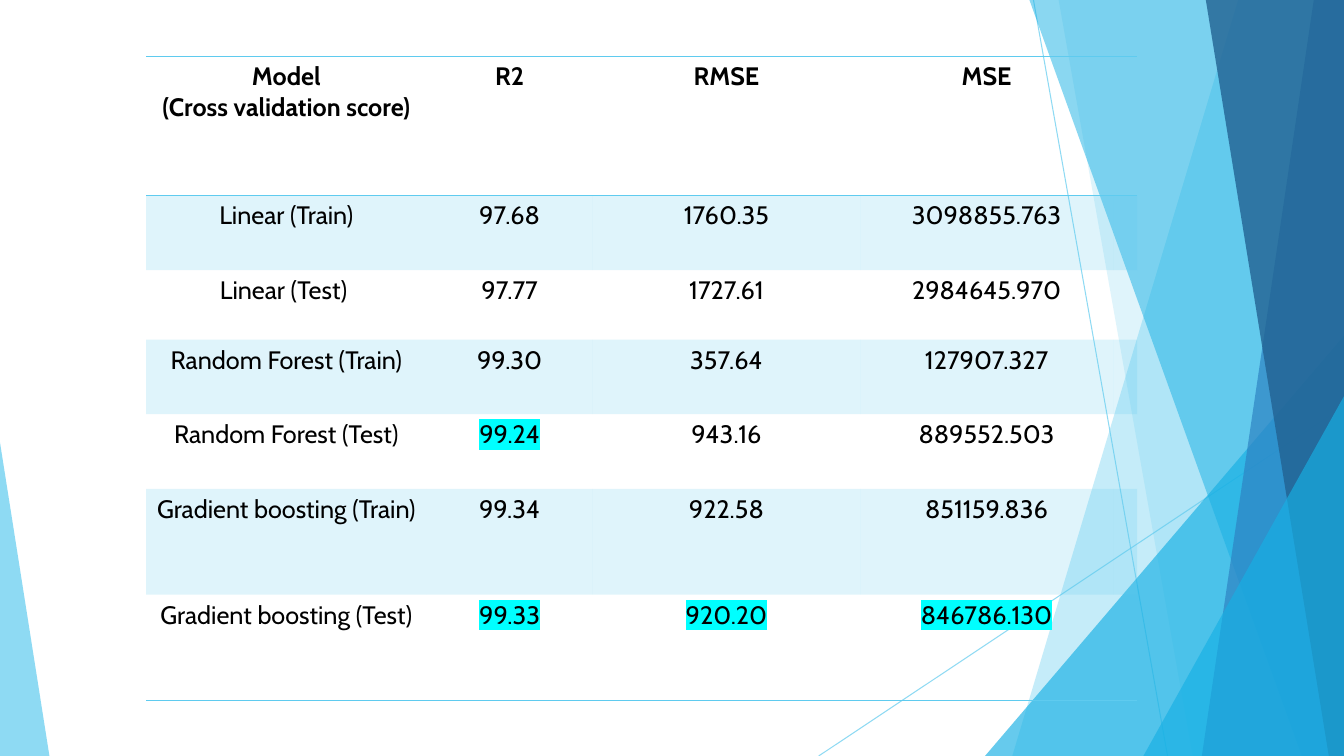
"""Build the slide comparing cross validation scores of regression models."""
from dataclasses import dataclass

from pptx import Presentation
from pptx.dml.color import RGBColor
from pptx.enum.shapes import MSO_CONNECTOR, MSO_SHAPE
from pptx.enum.text import PP_ALIGN
from pptx.oxml.ns import qn
from pptx.oxml.xmlchemy import BaseOxmlElement
from pptx.slide import Slide
from pptx.table import _Cell
from pptx.util import Inches, Pt
from lxml.etree import SubElement

SKY = RGBColor(0x5F, 0xCB, 0xEF)
AZURE = RGBColor(0x17, 0xB0, 0xE4)
BLUE = RGBColor(0x2E, 0x83, 0xC3)
NAVY = RGBColor(0x22, 0x62, 0x92)
BLACK = RGBColor(0, 0, 0)
CYAN = RGBColor(0, 0xFF, 0xFF)
WIDTH, HEIGHT = 13.33, 7.5
NO_STYLE = "{2D5ABB26-0587-4C30-8999-92F81FD0307C}"
FONT = {"name": "Cabin", "size": Pt(18)}


@dataclass(frozen=True)
class Ray:
    """A thin line between two points."""
    x1: float
    y1: float
    x2: float
    y2: float


@dataclass(frozen=True)
class Band:
    """A full-height panel along the right edge with a slanted left side."""
    top_x: float
    bottom_x: float
    color: RGBColor
    alpha: int


@dataclass(frozen=True)
class Wedge:
    """A right triangle standing on the bottom edge."""
    left: float
    top: float
    width: float
    apex: float
    color: RGBColor
    alpha: int


@dataclass(frozen=True)
class Row:
    """A table row with the columns whose value is highlighted."""
    height: float
    texts: tuple[str, ...]
    marked: tuple[int, ...] = ()


DECORATION = [
    Ray(10.25, 0, 11.58, HEIGHT),
    Ray(WIDTH, 4.03, 8.12, HEIGHT),
    Band(12.28, 10.04, SKY, 36),
    Band(10.5, 11.83, SKY, 20),
    Wedge(9.77, 3.33, 3.56, 1, AZURE, 66),
    Band(10.21, 12.91, AZURE, 50),
    Band(13.03, 11.92, BLUE, 70),
    Band(11.96, 13.18, NAVY, 80),
    Wedge(11.34, 3.93, 1.99, 1, AZURE, 66),
    Wedge(0, 4.39, 0.49, 0, SKY, 70),
]
COLUMNS = [2.78, 1.65, 2.65, 2.51, 0.23]
ROWS = [
    Row(1.38, ("Model\n(Cross validation score)", "R2", "RMSE", "MSE")),
    Row(0.74, ("Linear (Train)", "97.68", "1760.35", "3098855.763")),
    Row(0.69, ("Linear (Test) ", "97.77", "1727.61", "2984645.970")),
    Row(0.74, ("Random Forest (Train)", "99.30", "357.64", "127907.327")),
    Row(0.74, ("Random Forest (Test)", "99.24", "943.16", "889552.503"), (1,)),
    Row(1.05, ("Gradient boosting (Train)", "99.34", "922.58", "851159.836")),
    Row(1.05, ("Gradient boosting (Test)", "99.33", "920.20", "846786.130"), (1, 2, 3)),
]


def set_alpha(element: BaseOxmlElement, percent: int) -> None:
    """Make every colour in the element partly transparent."""
    for color in element.iter(qn("a:srgbClr")):
        SubElement(color, qn("a:alpha"), val=str(percent * 1000))


def draw_ray(s: Slide, ray: Ray) -> None:
    """Draw a thin decorative line."""
    ends = [Inches(v) for v in (ray.x1, ray.y1, ray.x2, ray.y2)]
    line = s.shapes.add_connector(MSO_CONNECTOR.STRAIGHT, *ends)
    line.line.color.rgb = SKY
    line.line.width = Pt(0.75)
    set_alpha(line._element, 70)
    SubElement(line._element.spPr, qn("a:effectLst"))


def draw_panel(s: Slide, panel: Band | Wedge) -> None:
    """Draw a translucent band or wedge."""
    if isinstance(panel, Band):
        points = [(WIDTH, 0), (WIDTH, HEIGHT), (panel.bottom_x, HEIGHT)]
        fb = s.shapes.build_freeform(Inches(panel.top_x), 0)
        fb.add_line_segments([(Inches(x), Inches(y)) for x, y in points])
        sp = fb.convert_to_shape()
    else:
        box = (panel.left, panel.top, panel.width, HEIGHT - panel.top)
        sp = s.shapes.add_shape(MSO_SHAPE.ISOSCELES_TRIANGLE, *map(Inches, box))
        sp.adjustments[0] = panel.apex
    sp.shadow.inherit = False
    sp.fill.solid()
    sp.fill.fore_color.rgb = panel.color
    sp.line.fill.background()
    set_alpha(sp._element, panel.alpha)


def add_border(cell: _Cell, side: str) -> None:
    """Rule one side of a cell."""
    ln = SubElement(cell._tc.get_or_add_tcPr(), qn(f"a:ln{side}"), w=str(Pt(1)))
    fill = SubElement(ln, qn("a:solidFill"))
    SubElement(fill, qn("a:srgbClr"), val=str(SKY))


def write_cell(cell: _Cell, text: str, bold: bool, marked: bool) -> None:
    """Write centred text, one paragraph a line."""
    tf = cell.text_frame
    tf.text = text
    for p in tf.paragraphs:
        p.alignment = PP_ALIGN.CENTER
        for r in p.runs:
            for name, value in {**FONT, "bold": bold}.items():
                setattr(r.font, name, value)
            r.font.color.rgb = BLACK
            if marked:
                rPr = r.font._element
                highlight = SubElement(rPr, qn("a:highlight"))
                SubElement(highlight, qn("a:srgbClr"), val=str(CYAN))
                rPr.find(qn("a:solidFill")).addnext(highlight)


def draw_table(s: Slide) -> None:
    """Draw the score table with alternate rows shaded."""
    box = (1.45, 0.56, sum(COLUMNS), sum(row.height for row in ROWS))
    frame = s.shapes.add_table(len(ROWS), len(COLUMNS), *map(Inches, box))
    table = frame.table
    table._tbl.tblPr.find(qn("a:tableStyleId")).text = NO_STYLE
    table.horz_banding = False
    for column, width in zip(table.columns, COLUMNS):
        column.width = Inches(width)
    for i, row in enumerate(ROWS):
        table.rows[i].height = Inches(row.height)
        sides = {0: "TB", len(ROWS) - 1: "B"}.get(i, "")
        for j, cell in enumerate(table.rows[i].cells):
            for side in sides:
                add_border(cell, side)
            if i % 2:
                cell.fill.solid()
                cell.fill.fore_color.rgb = SKY
                set_alpha(cell._tc.tcPr, 20)
            else:
                cell.fill.background()
            if j < len(row.texts):
                write_cell(cell, row.texts[j], i == 0, j in row.marked)


def main() -> None:
    """Build and save the slide."""
    prs = Presentation()
    prs.slide_width, prs.slide_height = Inches(WIDTH), Inches(HEIGHT)
    s = prs.slides.add_slide(prs.slide_layouts[6])
    for item in DECORATION:
        if isinstance(item, Ray):
            draw_ray(s, item)
        else:
            draw_panel(s, item)
    draw_table(s)
    prs.save("out.pptx")


if __name__ == "__main__":
    main()
